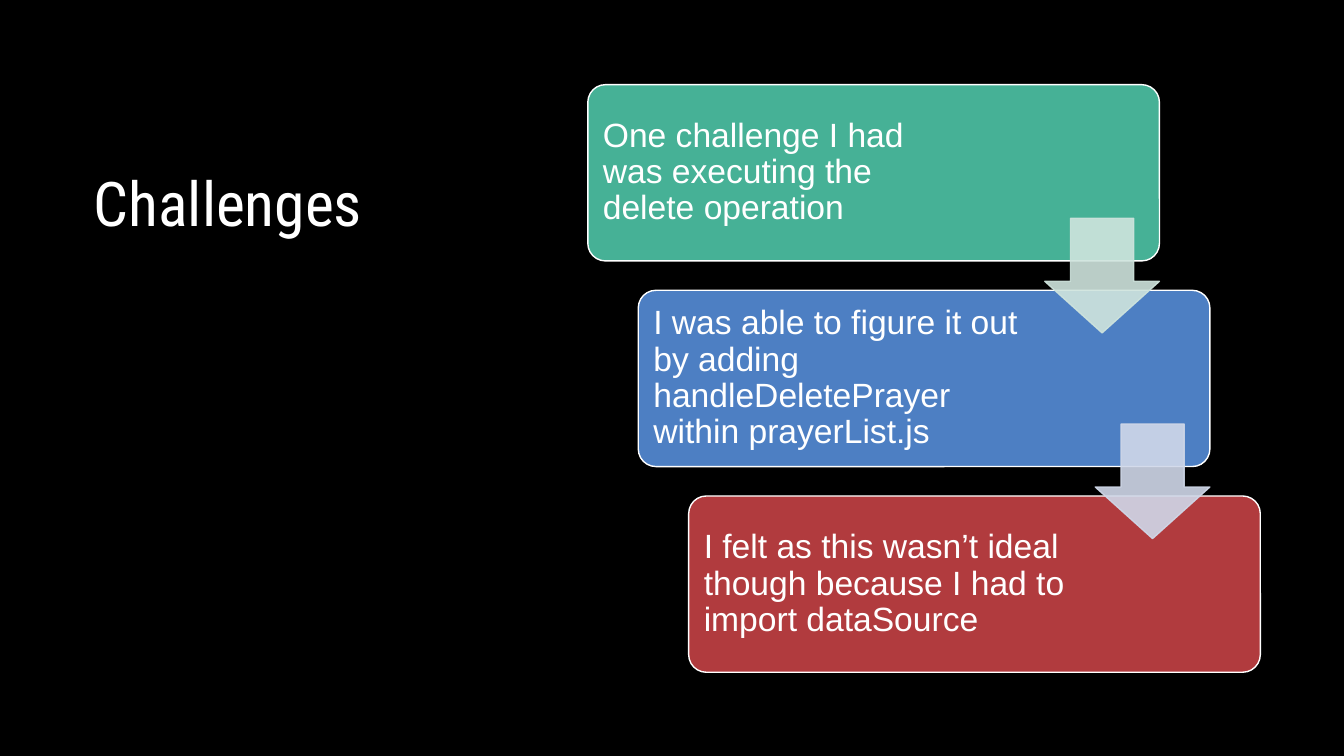
from pptx import Presentation
from pptx import util as u
from pptx.dml.color import RGBColor
from pptx.enum import shapes, text
from pptx.oxml.ns import qn
from lxml import etree

BLACK = RGBColor(0x00, 0x00, 0x00)
WHITE = RGBColor(0xFF, 0xFF, 0xFF)
GREEN = RGBColor(0x46, 0xB1, 0x96)
BLUE = RGBColor(0x4D, 0x7F, 0xC3)
RED = RGBColor(0xB1, 0x3B, 0x3E)
PALE_GREEN = RGBColor(0xCF, 0xE4, 0xDD)
PALE_BLUE = RGBColor(0xD0, 0xD8, 0xE9)

STEPS = [
    ("One challenge I had was executing the delete operation", GREEN, 1.89),
    ("I was able to figure it out by adding handleDeletePrayer within prayerList.js", BLUE, 1.74),
    ("I felt as this wasn’t ideal though because I had to import dataSource", RED, 1.74),
]
ARROW_COLORS = [PALE_GREEN, PALE_BLUE]


def write(frame, words, size, font, anchor, margins):
    frame.word_wrap = True
    frame.auto_size = text.MSO_AUTO_SIZE.NONE
    frame.vertical_anchor = anchor
    frame.margin_left, frame.margin_top, frame.margin_right, frame.margin_bottom = map(u.Inches, margins)
    paragraph = frame.paragraphs[0]
    paragraph.alignment = text.PP_ALIGN.LEFT
    paragraph.line_spacing = 0.9
    run = paragraph.add_run()
    run.text = words
    run.font.size = u.Pt(size)
    run.font.name = font
    run.font.color.rgb = WHITE


def add_block(slide, kind, box, adjustments, fill, line):
    block = slide.shapes.add_shape(kind, *map(u.Inches, box))
    for index, value in enumerate(adjustments):
        block.adjustments[index] = value
    block.shadow.inherit = False
    block.fill.solid()
    block.fill.fore_color.rgb = fill
    block.line.color.rgb = line
    block.line.width = u.Pt(1)
    return block


def make_translucent(block, percent):
    for color in block._element.spPr.iter(qn("a:srgbClr")):
        etree.SubElement(color, qn("a:alpha")).set("val", str(percent * 1000))


def place_heading(slide, left, top, width, height):
    heading = slide.shapes.title
    heading.left, heading.top, heading.width, heading.height = map(u.Inches, (left, top, width, height))
    write(heading.text_frame, "Challenges", size=44, font="Roboto Condensed",
          anchor=text.MSO_ANCHOR.TOP, margins=(0.1, 0.05, 0.1, 0.05))


def place_staircase(slide, left, top, width, height):
    card_width, card_height = width * 0.85, height * 0.3
    step_x, step_y = width * 0.075, height * 0.35
    arrow_size = card_height * 0.65

    for index, (words, color, right_margin) in enumerate(STEPS):
        card = add_block(slide, shapes.MSO_SHAPE.ROUNDED_RECTANGLE,
                         (left + index * step_x, top + index * step_y, card_width, card_height),
                         [0.1], color, WHITE)
        write(card.text_frame, words, size=24, font="Arial",
              anchor=text.MSO_ANCHOR.MIDDLE, margins=(0.1, 0.1, right_margin, 0.1))

    for index, color in enumerate(ARROW_COLORS):
        arrow_left = left + index * step_x + card_width - arrow_size
        gap_middle = top + index * step_y + (card_height + step_y) / 2
        arrow = add_block(slide, shapes.MSO_SHAPE.DOWN_ARROW,
                          (arrow_left, gap_middle - arrow_size / 2, arrow_size, arrow_size),
                          [0.55, 0.45], color, color)
        make_translucent(arrow, 90)


def main():
    deck = Presentation()
    deck.slide_width, deck.slide_height = u.Inches(13.33), u.Inches(7.5)
    slide = deck.slides.add_slide(deck.slide_layouts[5])
    slide.background.fill.solid()
    slide.background.fill.fore_color.rgb = BLACK
    place_heading(slide, 0.83, 1.67, 3.33, 4.17)
    place_staircase(slide, 5.83, 0.84, 6.67, 5.83)
    deck.save("out.pptx")


if __name__ == "__main__":
    main()
